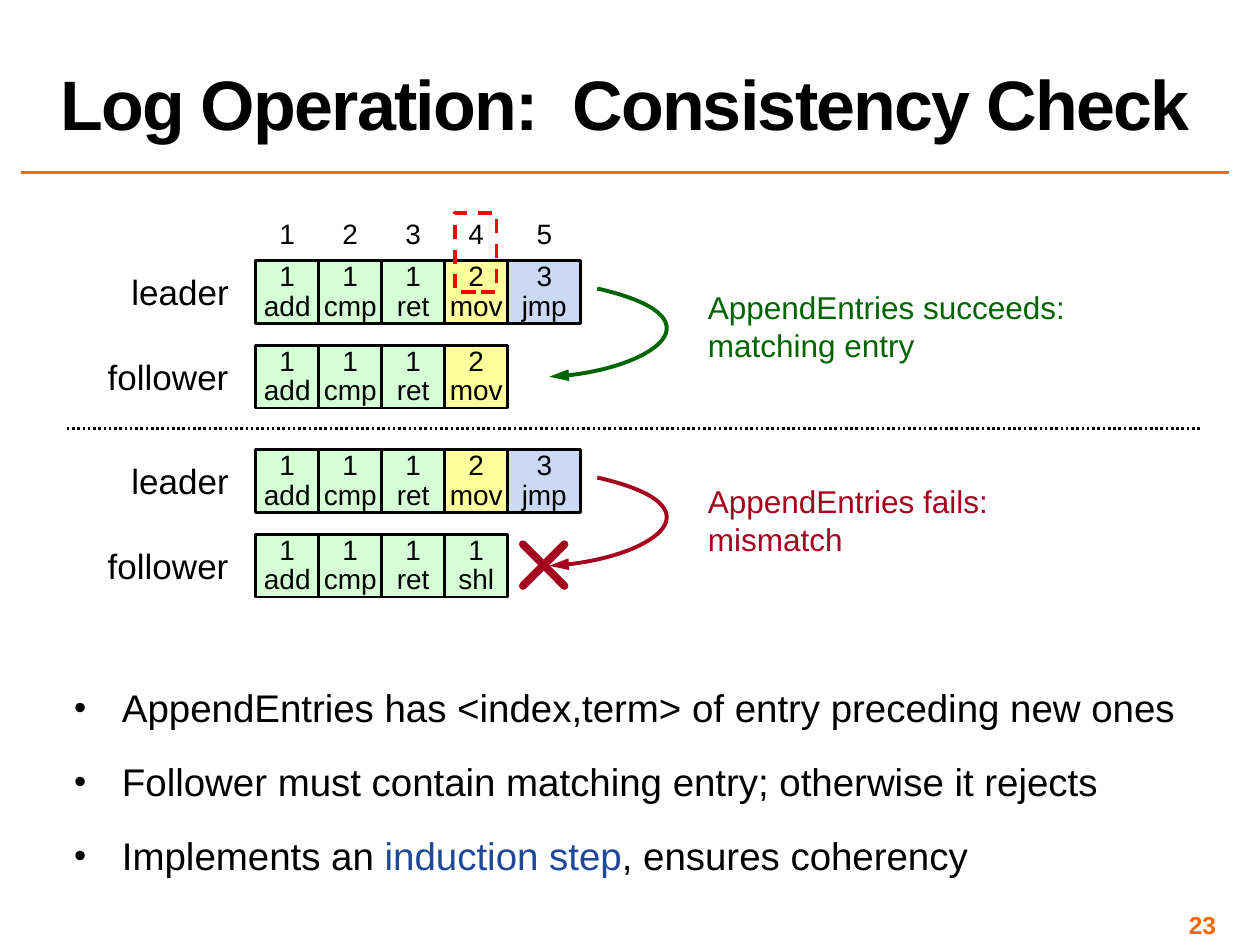
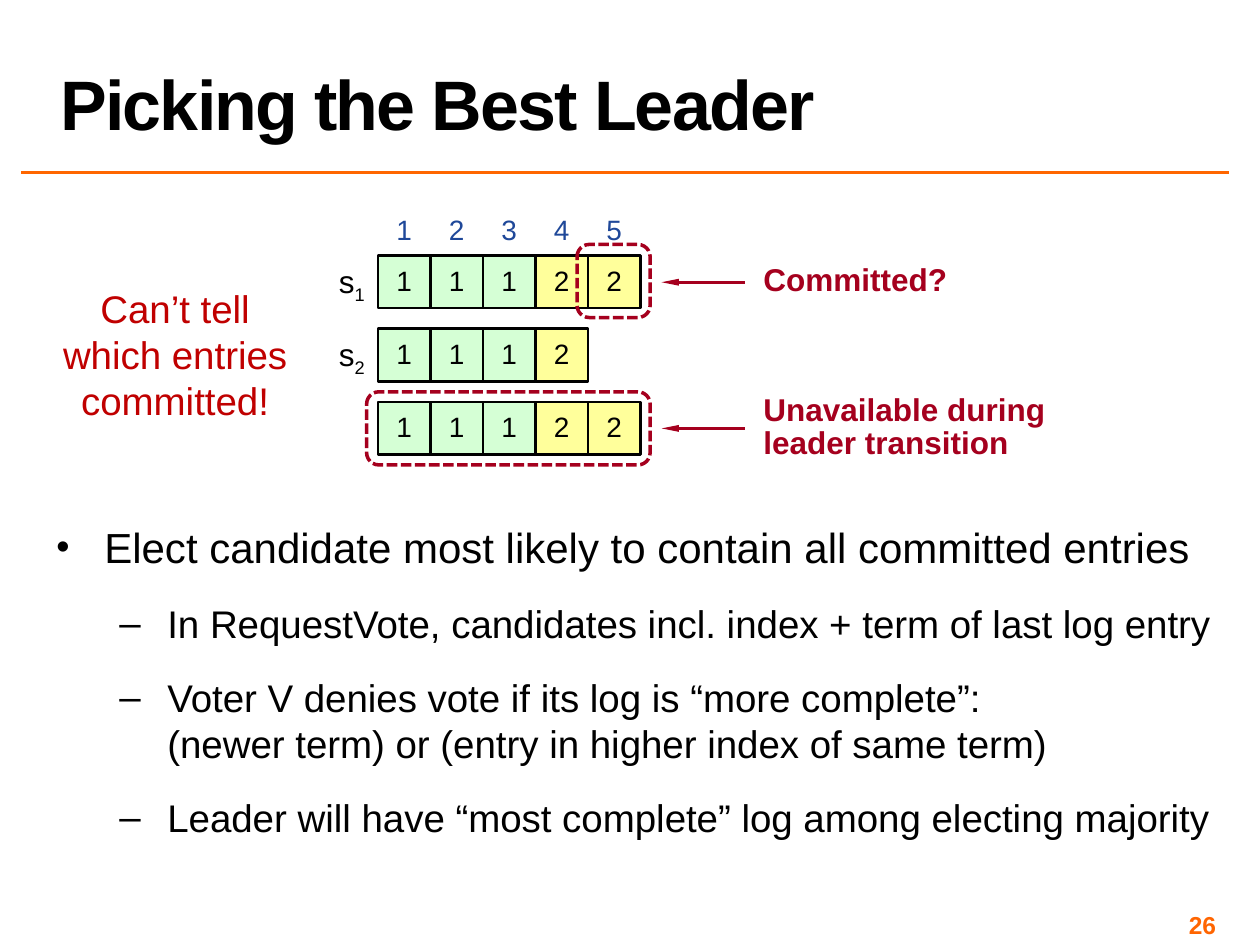
from dataclasses import dataclass
from itertools import accumulate

from pptx import Presentation
from pptx import util as u
from pptx.dml.color import RGBColor
from pptx.enum import dml, shapes, text
from pptx.oxml import ns, xmlchemy

In, Pt = u.Inches, u.Pt
ALIGN = text.PP_ALIGN


@dataclass(frozen=True)
class Theme:
    font: str = "Arial"
    ink: str = "000000"
    accent: str = "FF6600"
    page: str = "FF6501"
    blue: str = "1F4899"
    success: str = "006400"
    failure: str = "A5001E"
    warning: str = "C00000"
    highlight: str = "FF0000"
    terms: tuple = ("D5FFD5", "FFFF9B", "CCD9F4")
    title_size: int = 40
    point_size: int = 24
    body_size: int = 22
    label_size: int = 20
    note_size: int = 18
    cell_size: int = 16
    page_size: int = 14


T = Theme()


# Shared helpers

def rgb(colour):
    return RGBColor.from_string(colour)


def child(parent, tag, **attributes):
    element = xmlchemy.OxmlElement(tag)
    for key, value in attributes.items():
        element.set(key, str(value))
    parent.append(element)
    return element


def add_run(par, words, size, colour=T.ink, bold=False):
    """Add one run per line of words, with line breaks between them."""
    for number, line in enumerate(words.split("\n")):
        if number:
            par.add_line_break()
        run = par.add_run()
        run.text = line
        run.font.name, run.font.size, run.font.bold = T.font, Pt(size), bold
        run.font.color.rgb = rgb(colour)
    return run


def prepare_frame(shape, inset=True, wrap=True, anchor=text.MSO_ANCHOR.TOP):
    frame = shape.text_frame
    frame.word_wrap, frame.vertical_anchor = wrap, anchor
    if not inset:
        frame.margin_left = frame.margin_right = 0
        frame.margin_top = frame.margin_bottom = 0
    return frame


def add_text(slide, box, words, size, colour=T.ink, bold=False,
             align=ALIGN.LEFT, spacing=None, **frame_options):
    """Place a text box; each item of words is a paragraph."""
    label = slide.shapes.add_textbox(*map(In, box))
    frame = prepare_frame(label, **frame_options)
    for number, line in enumerate(words):
        par = frame.add_paragraph() if number else frame.paragraphs[0]
        par.alignment = align
        if spacing:
            par.line_spacing = spacing
        run = add_run(par, line, size, colour, bold)
    return par, run


def style_line(shape, colour, width, dash=None, head=None, cap=None):
    shape.line.color.rgb, shape.line.width = rgb(colour), Pt(width)
    if dash:
        shape.line.dash_style = dash
    ln = shape.get_or_add_ln()
    if cap:
        ln.set("cap", cap)
    if head:
        child(ln, "a:tailEnd", type="triangle", w=head, len="lg")


def add_line(slide, start, end, colour, width, **options):
    line = slide.shapes.add_connector(
        shapes.MSO_CONNECTOR.STRAIGHT, *map(In, (*start, *end)))
    style_line(line, colour, width, **options)
    child(line._element.spPr, "a:effectLst")


def add_outline(slide, box, kind, colour, dash):
    outline = slide.shapes.add_shape(kind, *map(In, box))
    outline.shadow.inherit = False
    outline.fill.background()
    style_line(outline, colour, 2, dash=dash)


def add_frame(slide, title, number):
    """Rule, title and page number."""
    add_line(slide, (0.17, 1.37), (9.75, 1.37), T.accent, 2)
    _, run = add_text(slide, (0.38, 0.02, 9.37, 1.17), [title], T.title_size,
                      bold=True, spacing=0.8, anchor=text.MSO_ANCHOR.BOTTOM)
    run.font._element.set("spc", "-100")
    add_text(slide, (7.42, 7.17, 2.33, 0.23), [str(number)], T.page_size,
             T.page, bold=True, align=ALIGN.RIGHT)


def add_bullets(slide, box, items, before, after=0):
    """Items are (level, size, [(words, colour), ...])."""
    frame = prepare_frame(slide.shapes.add_textbox(*map(In, box)))
    for number, (level, size, runs) in enumerate(items):
        par = frame.add_paragraph() if number else frame.paragraphs[0]
        par.level = level
        par.space_before, par.space_after = Pt(before), Pt(after)
        props = par._element.get_or_add_pPr()
        props.set("marL", str(In(0.38 + 0.5 * level)))
        props.set("indent", str(In(-0.38)))
        child(child(props, "a:buClr"), "a:srgbClr", val=T.ink)
        if level == 0:
            child(props, "a:buSzPct", val=90000)
        child(props, "a:buFont", typeface=T.font)
        child(props, "a:buChar", char="–" if level else "•")
        for words, colour in runs:
            add_run(par, words, size, colour)


def add_log(slide, left, top, widths, height, entries):
    """A row of log cells; the leading term number picks the fill."""
    lefts = accumulate(widths, initial=left)
    for x, width, entry in zip(lefts, widths, entries):
        cell = slide.shapes.add_shape(
            shapes.MSO_SHAPE.RECTANGLE, *map(In, (x, top, width, height)))
        cell.shadow.inherit = False
        cell.fill.solid()
        cell.fill.fore_color.rgb = rgb(T.terms[int(entry[0]) - 1])
        style_line(cell, T.ink, 1.5)
        frame = prepare_frame(cell, inset=False,
                              anchor=text.MSO_ANCHOR.MIDDLE)
        par = frame.paragraphs[0]
        par.alignment, par.line_spacing = ALIGN.CENTER, Pt(17)
        add_run(par, entry, T.cell_size)


def add_indexes(slide, left, top, widths, colour):
    lefts = accumulate(widths, initial=left)
    for index, (x, width) in enumerate(zip(lefts, widths), 1):
        add_text(slide, (x, top, width, 0.37), [str(index)], T.cell_size,
                 colour, align=ALIGN.CENTER)


# Consistency check slide

def add_reply_curve(slide, left, top, colour):
    """Curved arrow from the leader's log back to the follower's."""
    points = [(0.38, 0), (1.39, 0.23), (0.76, 0.67), (0, 0.7)]
    start, *rest = [(In(left + x), In(top + y)) for x, y in points]
    builder = slide.shapes.build_freeform(*start, scale=1.0)
    builder.add_line_segments(rest, close=False)
    curve = builder.convert_to_shape()
    # Turn the three straight segments into one Bezier segment
    outline = next(curve._element.iter(ns.qn("a:path")))
    segments = outline.findall(ns.qn("a:lnTo"))
    bezier = child(outline, "a:cubicBezTo")
    for segment in segments:
        bezier.append(segment[0])
        outline.remove(segment)
    # The box holds the drawn curve, not its control points
    curve.width = In(0.91)
    outline.set("w", str(In(0.91)))
    curve.shadow.inherit = False
    curve.fill.background()
    style_line(curve, colour, 2.25, head="med")


def add_exchange(slide, left, top, leader, follower, reply, reply_top, colour):
    """Leader and follower logs with the outcome on their right."""
    widths, height, pitch = [0.5] * 4 + [0.58], 0.5, 0.67
    rows = [("leader", 0.78, leader), ("follower", 0.97, follower)]
    for number, (role, role_width, entries) in enumerate(rows):
        y = top + number * pitch
        add_log(slide, left, y, widths, height, entries)
        add_text(slide, (left - 0.21 - role_width, y + 0.08, role_width, 0.34),
                 [role], T.label_size, align=ALIGN.CENTER,
                 inset=False, wrap=False)
    add_reply_curve(slide, left + 2.33, top + 0.22, colour)
    add_text(slide, (left + 3.49, reply_top, 3.06, 0.71), reply,
             T.note_size, colour, wrap=False)


def consistency_slide(slide):
    add_frame(slide, "Log Operation:  Consistency Check", 23)
    left = 2.03
    common = ["1\nadd", "1\ncmp", "1\nret"]
    leader = common + ["2\nmov", "3\njmp"]
    add_indexes(slide, left, 1.67, [0.5] * 4 + [0.58], T.ink)
    add_exchange(slide, left, 2.07, leader, common + ["2\nmov"],
                 ["AppendEntries succeeds:", "matching entry"], 2.24,
                 T.success)
    add_line(slide, (0.53, 3.4), (9.53, 3.4), T.ink, 1.5,
             dash=dml.MSO_LINE.ROUND_DOT)
    add_exchange(slide, left, 3.57, leader, common + ["1\nshl"],
                 ["AppendEntries fails:", "mismatch"], 3.78, T.failure)
    # Rejection cross
    for y_start, y_end in ((4.32, 4.65), (4.65, 4.32)):
        add_line(slide, (4.15, y_start), (4.48, y_end), T.failure, 4.5,
                 cap="rnd")
    # Preceding index and term
    add_outline(slide, (3.61, 1.69, 0.33, 0.63), shapes.MSO_SHAPE.RECTANGLE,
                T.highlight, dml.MSO_LINE.DASH)
    points = [
        [("AppendEntries has <index,term> of entry preceding new ones", T.ink)],
        [("Follower must contain matching entry; otherwise it rejects", T.ink)],
        [("Implements an ", T.ink), ("induction step", T.blue),
         (", ensures coherency", T.ink)],
    ]
    add_bullets(slide, (0.49, 5.38, 9.26, 1.6),
                [(0, T.body_size, runs) for runs in points], before=16)


# Leader election slide

def add_callout(slide, words, box, middle, outline):
    """Dashed outline, arrow towards it and a bold note."""
    add_outline(slide, outline, shapes.MSO_SHAPE.ROUNDED_RECTANGLE,
                T.failure, dml.MSO_LINE.SQUARE_DOT)
    add_text(slide, box, [words], T.note_size, T.failure, bold=True,
             spacing=Pt(19), inset=False)
    add_line(slide, (5.91, middle), (5.25, middle), T.failure, 1.5, head="sm")


def add_server_logs(slide, left, top):
    cell, pitch = 5 / 12, 0.58
    widths = [cell] * 5
    add_indexes(slide, left, top - 0.39, widths, T.blue)
    for number, terms in enumerate(("11122", "1112", "11122")):
        add_log(slide, left, top + number * pitch, widths, cell, terms)
    for number in range(2):
        name, _ = add_text(
            slide, (left - cell, top + 0.05 + number * pitch, cell, 0.3),
            ["s"], T.note_size, align=ALIGN.CENTER, inset=False)
        subscript = add_run(name, str(number + 1), T.note_size)
        subscript.font._element.set("baseline", "-25000")


def election_slide(slide):
    add_frame(slide, "Picking the Best Leader", 26)
    add_server_logs(slide, 3, 2.03)
    add_callout(slide, "Unavailable during leader transition",
                (6.06, 3.13, 2.77, 0.53), 3.4, (2.91, 3.11, 2.25, 0.58))
    add_callout(slide, "Committed?",
                (6.06, 2.1, 2, 0.27), 2.24, (4.58, 1.94, 0.58, 0.58))
    add_text(slide, (0.32, 2.21, 2.14, 1.21),
             ["Can’t tell which entries committed!"], T.body_size, T.warning,
             align=ALIGN.CENTER)
    details = [
        "In RequestVote, candidates incl. index + term of last log entry",
        "Voter V denies vote if its log is “more complete”:\n"
        "(newer term) or (entry in higher index of same term)",
        "Leader will have “most complete” log among electing majority",
    ]
    main = "Elect candidate most likely to contain all committed entries"
    items = [(0, T.point_size, [(main, T.ink)])]
    items += [(1, T.body_size, [(words, T.ink)]) for words in details]
    add_bullets(slide, (0.35, 4.09, 9.4, 3.15), items, before=8, after=8)


deck = Presentation()
deck.slide_width, deck.slide_height = In(10), In(7.5)
for build in (consistency_slide, election_slide):
    build(deck.slides.add_slide(deck.slide_layouts[6]))
deck.save("out.pptx")
